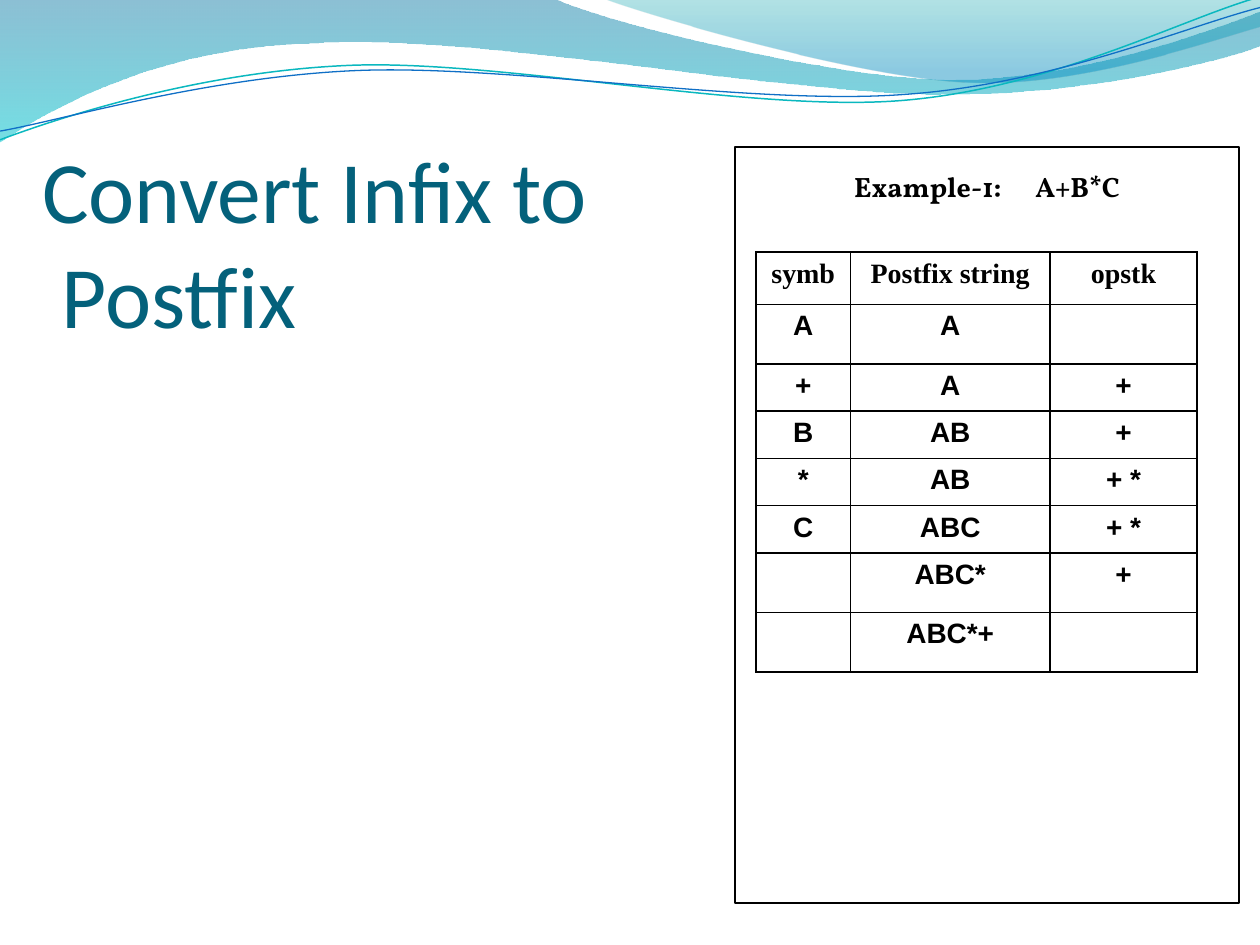
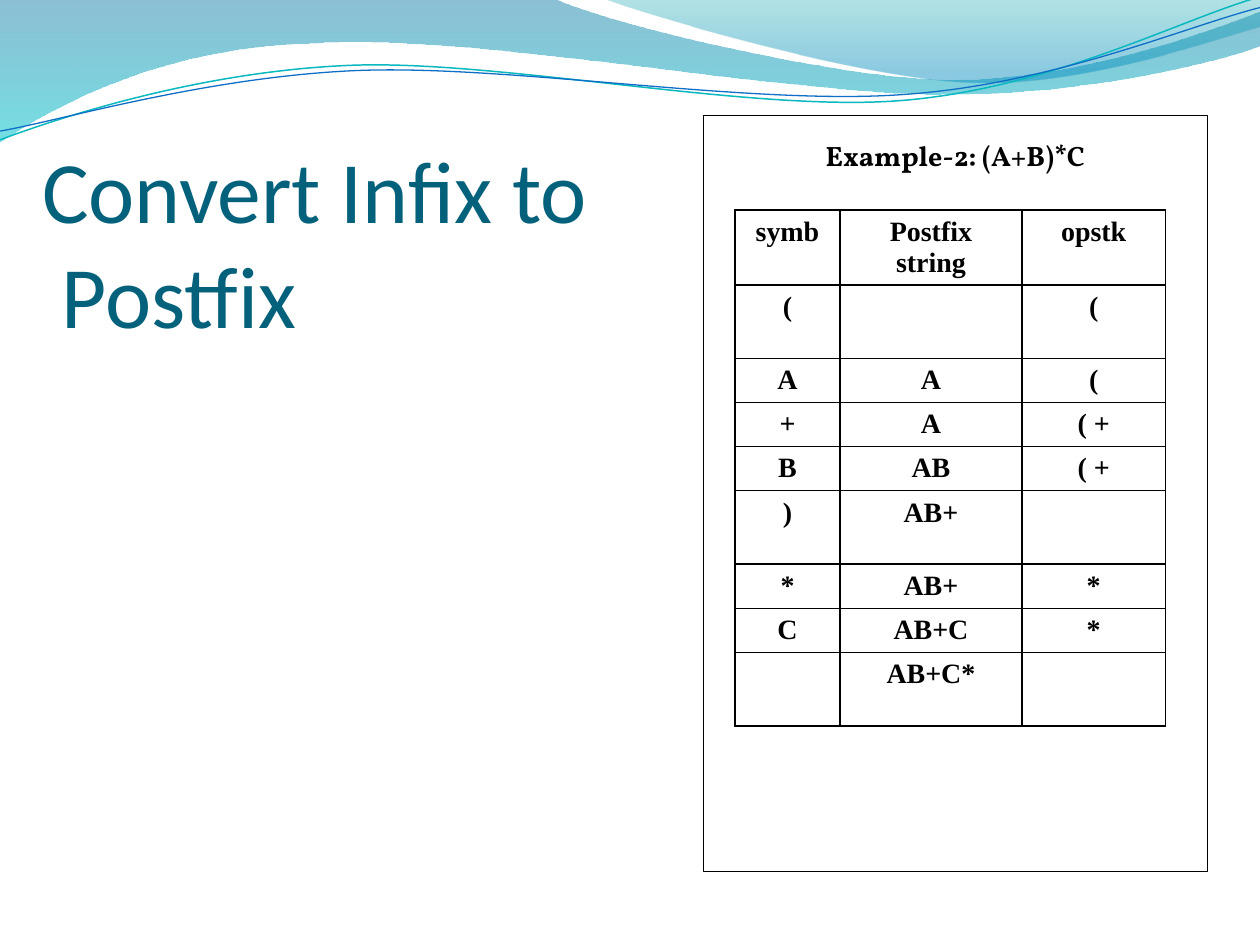
from lxml.etree import SubElement
from pptx import Presentation
from pptx.dml.color import RGBColor
from pptx.enum.shapes import MSO_SHAPE
from pptx.enum.text import MSO_ANCHOR, MSO_AUTO_SIZE, PP_ALIGN
from pptx.oxml.ns import qn
from pptx.util import Pt

BLACK = "000000"
TITLE_COLOR = "04617B"
TITLE_BOX = (24, 66, 318, 132)
PANEL_SIZE = (288, 432)

BANDS = [
    {"start": (0, 0),
     "segments": [(316.8, -0.7),
                  (342.7, 12.2, 478.1, 45.4, 545.8, 45.4),
                  (614.2, 45.4, 689.8, 18.7, 720, 6.5),
                  (720.7, 25.9),
                  (707.8, 31.7, 626.4, 54.7, 537.1, 54),
                  (447.8, 54, 275, 20.2, 185, 24.5),
                  (92.9, 25.9, 33.1, 59.8, -0.7, 81.4),
                  (0, 0)],
     "stops": [(0, "0074A1", 45), (1, "00C6CF", 55)]},
    {"start": (344.9, -0.7),
     "segments": [(366.5, 7.9, 491, 44.6, 553.7, 46.8),
                  (616.3, 49.7, 691.9, 23, 720, 15.1),
                  (720, 0),
                  (344.9, -0.7)],
     "stops": [(0, "00A1A9", 30), (0.8, "008BBF", 45)]},
]
STRANDS = [
    {"start": (0, 79.9),
     "segments": [(34.6, 67, 113.8, 41, 199.4, 37.4),
                  (284.4, 33.8, 427, 64.1, 513.4, 57.6),
                  (599.8, 51.1, 675.4, 10.8, 718.6, -1.4)],
     "line_color": "0AB8BF", "width": 0.85},
    {"start": (0, 74.9),
     "segments": [(33.8, 69.1, 118.1, 43.9, 203.8, 40.3),
                  (290.2, 36.7, 429.8, 60.5, 516.2, 54),
                  (601.9, 48.2, 677.5, 15.1, 720, 4.3)],
     "line_color": "0F6FC6", "width": 0.75},
]

HEADER = ("symb", "Postfix string", "opstk")
EXAMPLES = [
    {"position": (420, 84),
     "caption": [("Example-1:", 0), (" ", 16), ("A+B*C", 0)],
     "table": {"offset": (12, 60), "widths": (54, 114, 84), "body_font": "Arial",
               "header_height": 30, "tall": 34, "short": 27,
               "rows": [("A", "A", ""), ("+", "A", "+"), ("B", "AB", "+"),
                        ("*", "AB", "+ *"), ("C", "ABC", "+ *"),
                        ("", "ABC*", "+"), ("", "ABC*+", "")]}},
    {"position": (402, 66),
     "caption": [("Example-2: (A+B)*C", 0)],
     "table": {"offset": (18, 54), "widths": (60, 104, 82), "body_font": "Times New Roman",
               "header_height": 42, "tall": 42, "short": 25.25,
               "rows": [("(", "", "("), ("A", "A", "("), ("+", "A", "( +"),
                        ("B", "AB", "( +"), (")", "AB+", ""), ("*", "AB+", "*"),
                        ("C", "AB+C", "*"), ("", "AB+C*", "")]}},
]


def color(hex_string):
    """Return the colour for a hex string."""
    return RGBColor.from_string(hex_string)


def write_text(paragraph, text, font="Calibri", size=16, fill=BLACK, bold=False,
               align=PP_ALIGN.CENTER, spacing=0):
    """Add formatted text to a paragraph, with extra letter spacing in points."""
    paragraph.alignment = align
    for index, line in enumerate(text.split("\n")):
        if index:
            paragraph.add_line_break()
        run = paragraph.add_run()
        run.text = line
        run.font.name = font
        run.font.size = Pt(size)
        run.font.bold = bold
        run.font.color.rgb = color(fill)
        if spacing:
            run.font._element.set("spc", str(spacing * 100))


def set_margins(frame, left=0, top=0, right=0, bottom=0):
    """Set the four insets of a text frame in points."""
    frame.margin_left, frame.margin_top = Pt(left), Pt(top)
    frame.margin_right, frame.margin_bottom = Pt(right), Pt(bottom)


def add_outline(slide, start, segments, close):
    """Draw lines (one point) and cubic curves (three points) as one freeform."""
    points = [(Pt(x), Pt(y)) for segment in segments
              for x, y in zip(segment[::2], segment[1::2])]
    builder = slide.shapes.build_freeform(*map(Pt, start))
    builder.add_line_segments(points, close=close)
    shape = builder.convert_to_shape()
    shape.shadow.inherit = False
    steps = iter(list(shape.element.iter(qn("a:lnTo"))))
    for segment in segments:
        first = next(steps)
        if len(segment) == 6:
            first.tag = qn("a:cubicBezTo")
            for step in (next(steps), next(steps)):
                first.append(step[0])
                step.getparent().remove(step)
    return shape


def add_band(slide, start, segments, stops):
    """Draw a wave band with a translucent vertical gradient."""
    shape = add_outline(slide, start, segments, True)
    shape.line.fill.background()
    shape.fill.gradient()
    shape.fill.gradient_angle = 270
    for stop, (position, hex_string, opacity) in zip(shape.fill.gradient_stops, stops):
        stop.position = position
        stop.color.rgb = color(hex_string)
        color_element = stop._gs.find(qn("a:srgbClr"))
        SubElement(color_element, qn("a:alpha")).set("val", str(opacity * 1000))
    return shape


def add_strand(slide, start, segments, line_color, width):
    """Draw a thin wavy line."""
    shape = add_outline(slide, start, segments, False)
    shape.fill.background()
    shape.line.color.rgb = color(line_color)
    shape.line.width = Pt(width)
    return shape


def decorate_layout(slide):
    """Draw the waves and move them to the layout that all slides share."""
    waves = [add_band(slide, **band) for band in BANDS]
    waves += [add_strand(slide, **strand) for strand in STRANDS]
    layout_tree = slide.slide_layout.shapes.element
    for wave in waves:
        layout_tree.append(wave.element)


def fill_title(slide, box):
    """Place and format the slide title."""
    title = slide.shapes.title
    title.left, title.top, title.width, title.height = map(Pt, box)
    frame = title.text_frame
    frame.word_wrap = True
    frame.auto_size = MSO_AUTO_SIZE.NONE
    frame.vertical_anchor = MSO_ANCHOR.BOTTOM
    set_margins(frame, top=3.6)
    write_text(frame.paragraphs[0], "Convert Infix to\n Postfix", size=50,
               fill=TITLE_COLOR, align=PP_ALIGN.LEFT)


def border_cell(cell):
    """Give a cell thin black borders and no fill."""
    properties = cell._tc.get_or_add_tcPr()
    for side in ("a:lnL", "a:lnR", "a:lnT", "a:lnB"):
        line = SubElement(properties, qn(side), w=str(Pt(1)))
        solid = SubElement(line, qn("a:solidFill"))
        SubElement(solid, qn("a:srgbClr"), val=BLACK)
    cell.fill.background()


def add_trace_table(slide, left, top, widths, body_font, header_height, tall, short, rows):
    """Add the conversion table; rows with an empty cell are tall."""
    heights = [header_height] + [short if all(row) else tall for row in rows]
    frame = slide.shapes.add_table(len(heights), len(widths), Pt(left), Pt(top),
                                   Pt(sum(widths)), Pt(sum(heights)))
    table = frame.table
    table.first_row = table.horz_banding = False
    for column, width in zip(table.columns, widths):
        column.width = Pt(width)
    for row_index, texts in enumerate([HEADER, *rows]):
        table.rows[row_index].height = Pt(heights[row_index])
        font = body_font if row_index else "Times New Roman"
        for column_index, text in enumerate(texts):
            cell = table.cell(row_index, column_index)
            border_cell(cell)
            if text:
                write_text(cell.text_frame.paragraphs[0], text, font=font, bold=True)


def add_example_panel(slide, position, caption, table):
    """Add the framed panel with its caption and its conversion table."""
    left, top = position
    panel = slide.shapes.add_shape(MSO_SHAPE.RECTANGLE, *map(Pt, (*position, *PANEL_SIZE)))
    panel.shadow.inherit = False
    panel.fill.background()
    panel.line.color.rgb = color(BLACK)
    panel.line.width = Pt(1)
    frame = panel.text_frame
    frame.word_wrap = False
    frame.vertical_anchor = MSO_ANCHOR.TOP
    set_margins(frame, top=13)
    for text, spacing in caption:
        write_text(frame.paragraphs[0], text, font="Vollkorn", bold=True, spacing=spacing)
    offset_x, offset_y = table["offset"]
    settings = {name: value for name, value in table.items() if name != "offset"}
    add_trace_table(slide, left + offset_x, top + offset_y, **settings)


def main():
    """Build and save the presentation."""
    presentation = Presentation()
    presentation.slide_width, presentation.slide_height = Pt(720), Pt(540)
    layout = presentation.slide_layouts[5]
    for index, example in enumerate(EXAMPLES):
        slide = presentation.slides.add_slide(layout)
        if index == 0:
            decorate_layout(slide)
        fill_title(slide, TITLE_BOX)
        add_example_panel(slide, **example)
    presentation.save("out.pptx")


if __name__ == "__main__":
    main()
